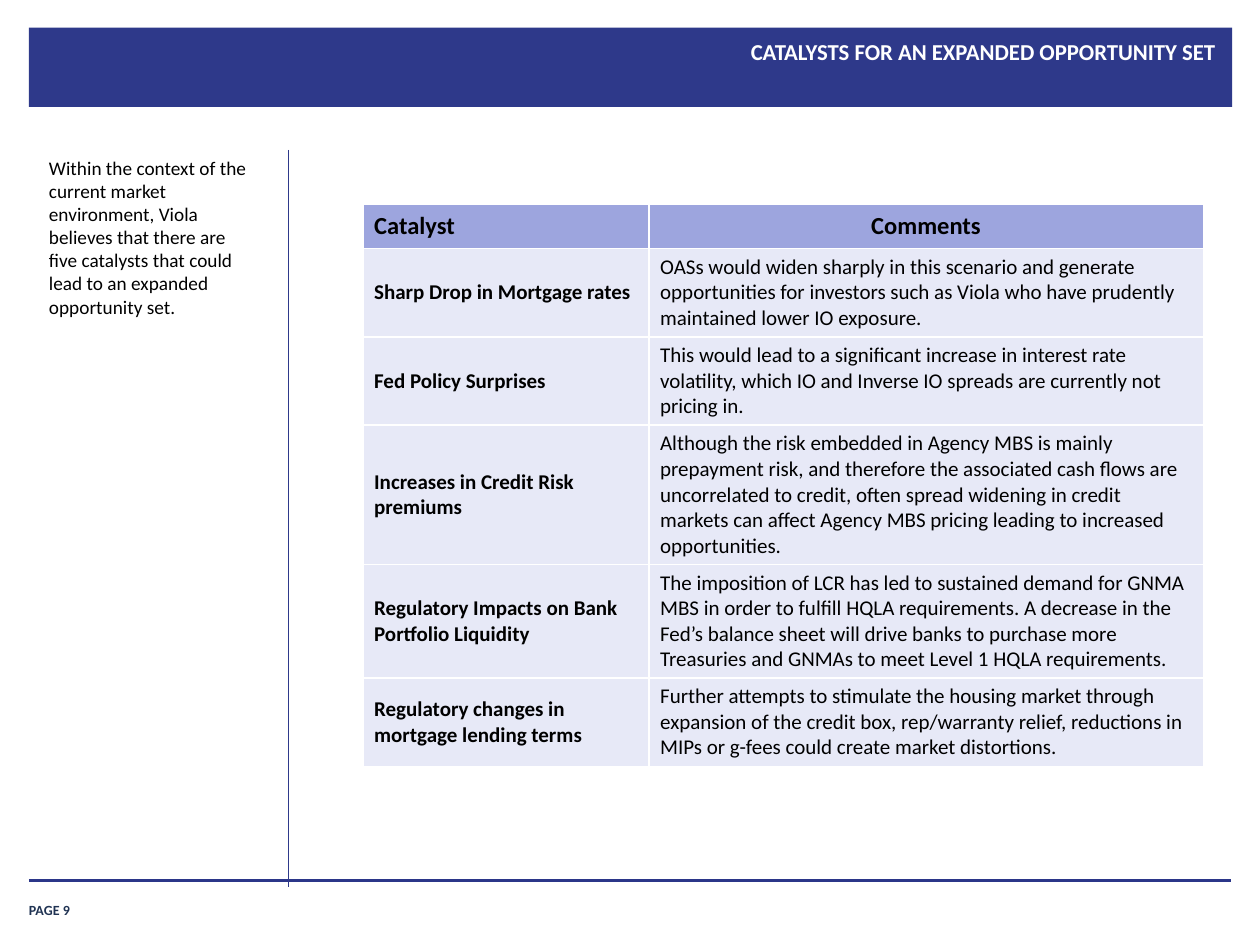
from lxml import etree
from pptx import Presentation
from pptx import util as u
from pptx.dml.color import RGBColor
from pptx.enum import shapes, text
from pptx.oxml.ns import qn

WIDTH, HEIGHT = u.Inches(10), u.Inches(7.5)
FONT = "Calibri"
NAVY, RULE, BLACK, WHITE = "2E398A", "2B3689", "000000", "FFFFFF"
HEADER_FILL, BODY_FILL = "9DA5DE", "E7E9F7"
COLUMN_WIDTHS = [22.7, 44]
ROW_HEIGHTS = [4.7, 9.35, 9.35, 14.75, 12, 9.35]
INTRO = ("Within the context of the current market environment, Viola believes that "
         "there are five catalysts that could lead to an expanded opportunity set.")
ROWS = [
    ("Catalyst", "Comments"),
    ("Sharp Drop in Mortgage rates",
     "OASs would widen sharply in this scenario and generate opportunities for "
     "investors such as Viola who have prudently maintained lower IO exposure."),
    ("Fed Policy Surprises",
     "This would lead to a significant increase in interest rate volatility, which "
     "IO and Inverse IO spreads are currently not pricing in."),
    ("Increases in Credit Risk premiums",
     "Although the risk embedded in Agency MBS is mainly prepayment risk, and "
     "therefore the associated cash flows are uncorrelated to credit, often spread "
     "widening in credit markets can affect Agency MBS pricing leading to increased "
     "opportunities."),
    ("Regulatory Impacts on Bank Portfolio Liquidity",
     "The imposition of LCR has led to sustained demand for GNMA MBS in order to "
     "fulfill HQLA requirements. A decrease in the Fed’s balance sheet will drive "
     "banks to purchase more Treasuries and GNMAs to meet Level 1 HQLA requirements."),
    ("Regulatory changes in mortgage lending terms",
     "Further attempts to stimulate the housing market through expansion of the "
     "credit box, rep/warranty relief, reductions in MIPs or g-fees could create "
     "market distortions."),
]


def across(percent):
    return round(WIDTH * percent / 100)


def down(percent):
    return round(HEIGHT * percent / 100)


def box(left, top, width, height):
    return across(left), down(top), across(width), down(height)


def color(value):
    return RGBColor.from_string(value)


def fill(target, value):
    target.fill.solid()
    target.fill.fore_color.rgb = color(value)


def write(tf, content, size, ink=BLACK, bold=False, align=text.PP_ALIGN.LEFT):
    p = tf.paragraphs[0]
    p.text = content
    p.alignment = align
    p.font.name, p.font.size, p.font.bold = FONT, u.Pt(size), bold
    p.font.color.rgb = color(ink)


def add_band(s, place, value):
    sp = s.shapes.add_shape(shapes.MSO_SHAPE.RECTANGLE, *box(*place))
    sp.shadow.inherit = False
    fill(sp, value)
    sp.line.fill.background()


def add_text(s, place, content, size, inset=True, anchor=text.MSO_ANCHOR.TOP, **style):
    tf = s.shapes.add_textbox(*box(*place)).text_frame
    tf.word_wrap = True
    tf.vertical_anchor = anchor
    if not inset:
        tf.margin_left = tf.margin_right = tf.margin_top = tf.margin_bottom = 0
    write(tf, content, size, **style)


def add_rule(s, start, end, value, weight):
    line = s.shapes.add_connector(shapes.MSO_CONNECTOR.STRAIGHT, across(start[0]),
                                  down(start[1]), across(end[0]), down(end[1]))
    line.line.color.rgb = color(value)
    line.line.width = u.Pt(weight)
    etree.SubElement(line._element.spPr, qn("a:effectLst"))


def add_borders(cell, value, weight):
    props = cell._tc.get_or_add_tcPr()
    for i, side in enumerate(("lnL", "lnR", "lnT", "lnB")):
        ln = etree.Element(qn(f"a:{side}"), w=str(u.Pt(weight)))
        solid = etree.SubElement(ln, qn("a:solidFill"))
        etree.SubElement(solid, qn("a:srgbClr"), val=value)
        props.insert(i, ln)


def add_catalysts(s, left, top):
    place = box(left, top, sum(COLUMN_WIDTHS), sum(ROW_HEIGHTS))
    table = s.shapes.add_table(len(ROWS), len(COLUMN_WIDTHS), *place).table
    for column, width in zip(table.columns, COLUMN_WIDTHS):
        column.width = across(width)
    for i, (height, contents) in enumerate(zip(ROW_HEIGHTS, ROWS)):
        header = i == 0
        table.rows[i].height = down(height)
        for j, content in enumerate(contents):
            cell = table.cell(i, j)
            cell.vertical_anchor = text.MSO_ANCHOR.MIDDLE
            cell.margin_left = cell.margin_right = u.Inches(0.09)
            cell.margin_top = cell.margin_bottom = u.Inches(0.04)
            fill(cell, HEADER_FILL if header else BODY_FILL)
            add_borders(cell, WHITE, 1)
            centred = header and j == 1
            write(cell.text_frame, content, 14 if header else 12,
                  bold=header or j == 0,
                  align=text.PP_ALIGN.CENTER if centred else text.PP_ALIGN.LEFT)


def main():
    prs = Presentation()
    prs.slide_width, prs.slide_height = WIDTH, HEIGHT
    s = prs.slides.add_slide(prs.slide_layouts[6])
    add_band(s, (2.3, 2.93, 95.5, 8.4), NAVY)
    add_text(s, (2.3, 94.4, 8.2, 2.8), "PAGE 9", 8, inset=False,
             anchor=text.MSO_ANCHOR.BOTTOM, ink="203353", bold=True)
    add_rule(s, (2.3, 93.2), (97.7, 93.2), RULE, 2)
    add_rule(s, (22.9, 15.87), (22.9, 93.87), NAVY, 0.5)
    add_text(s, (25, 3.33, 72.4, 8.27), "CATALYSTS FOR AN EXPANDED OPPORTUNITY SET",
             13, ink=WHITE, bold=True, align=text.PP_ALIGN.RIGHT)
    add_text(s, (2.9, 15.87, 18.3, 76.27), INTRO, 11)
    add_catalysts(s, 28.8, 21.6)
    prs.save("out.pptx")


if __name__ == "__main__":
    main()
